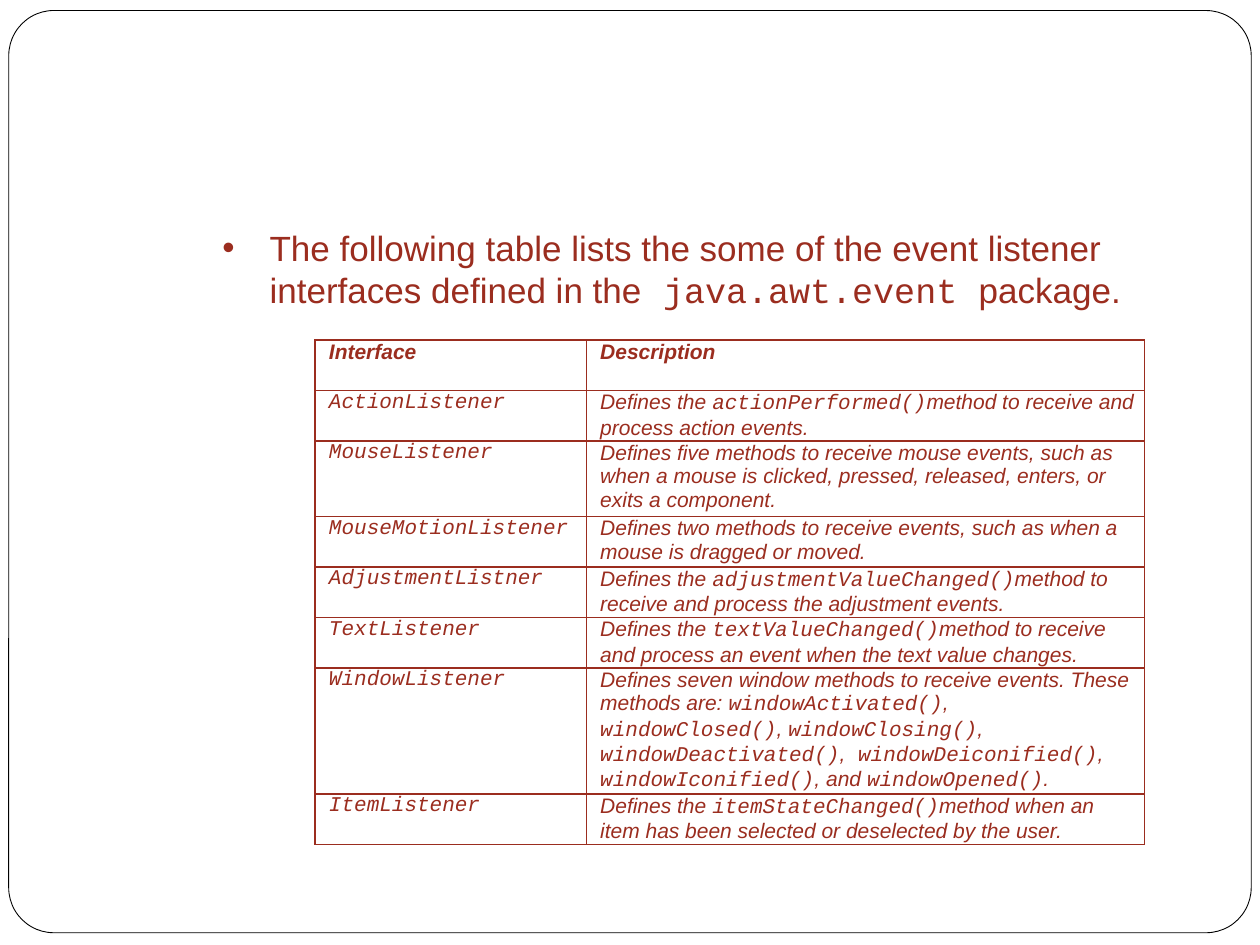
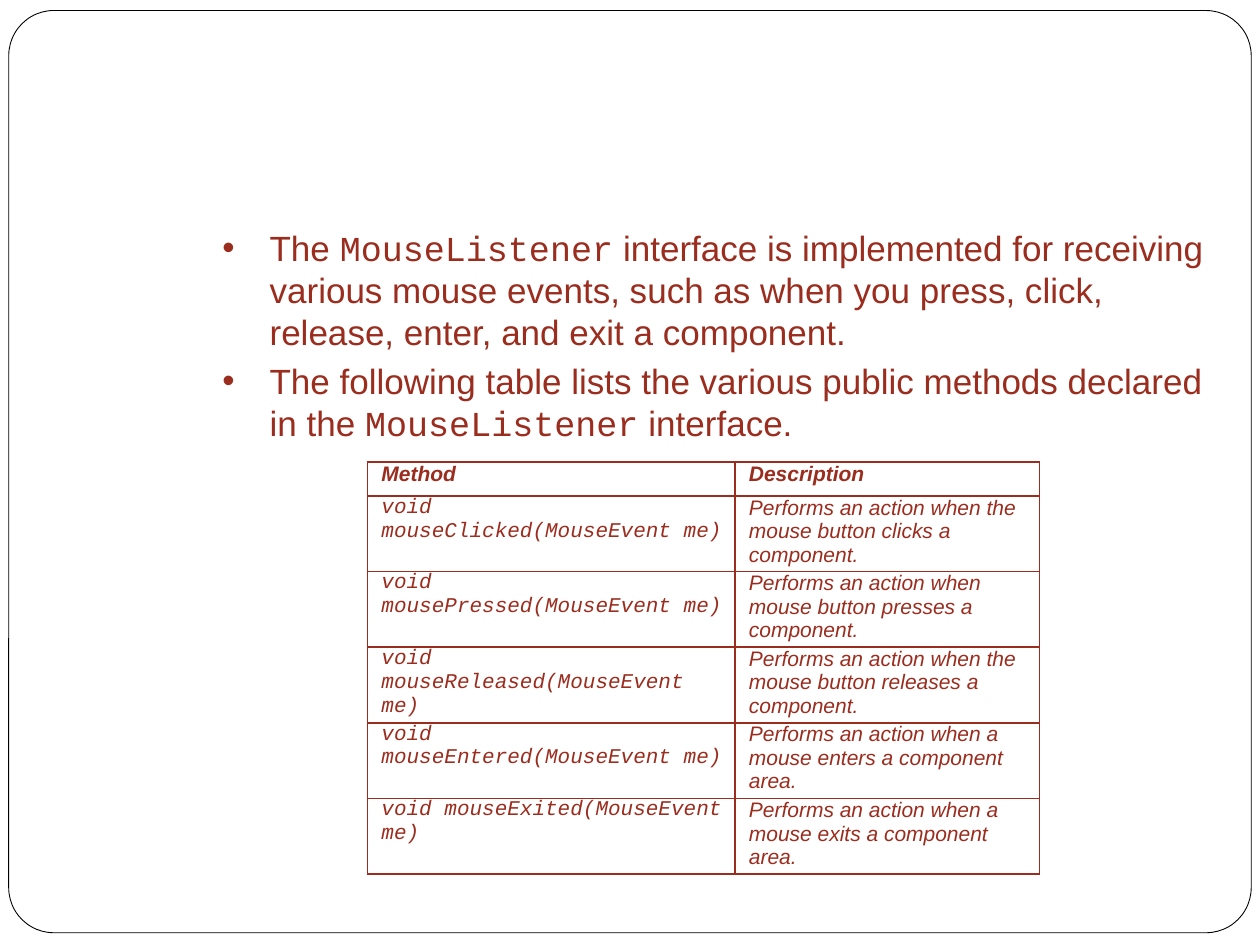
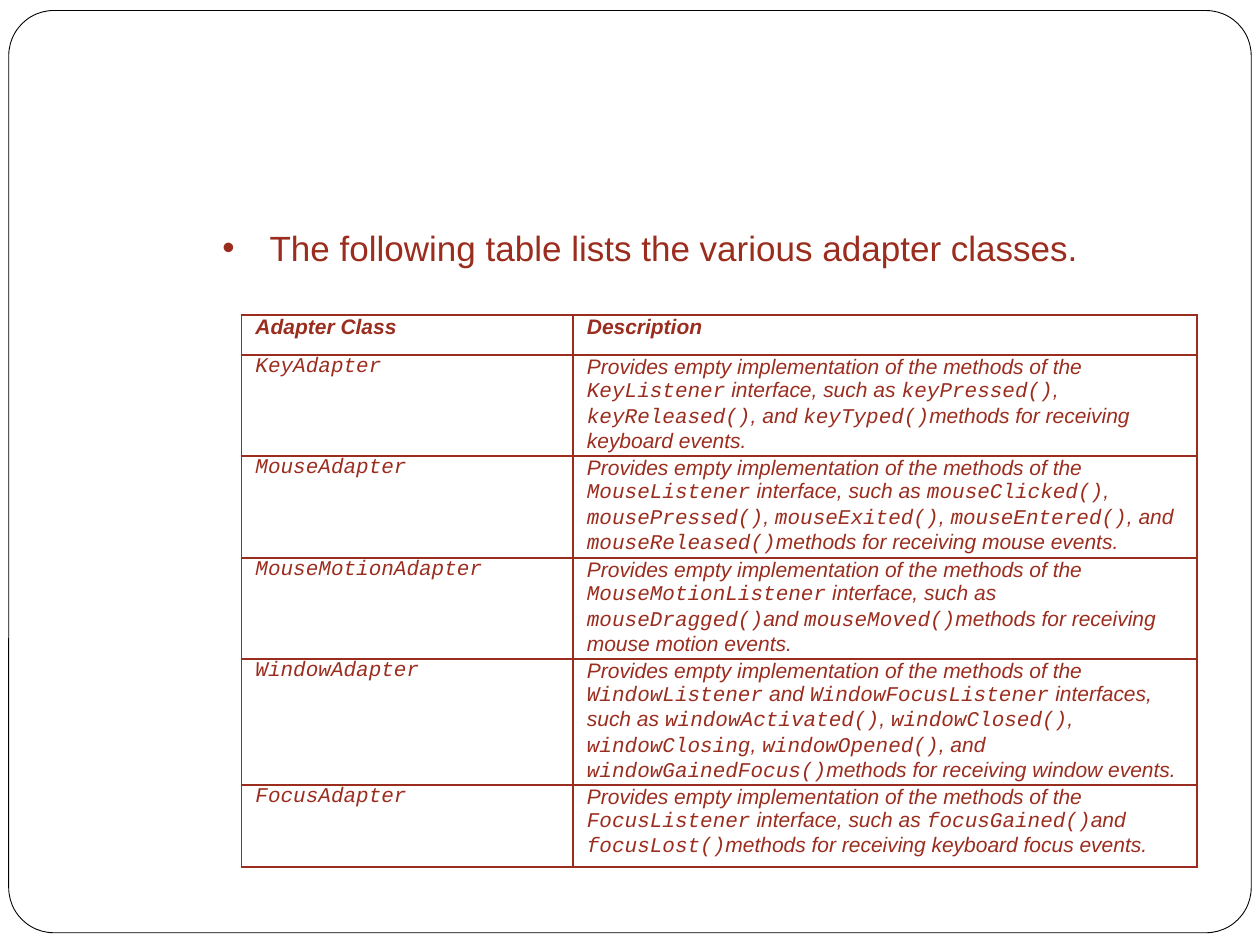
"""Build three slides listing event listener interfaces, mouse methods and adapter classes."""
from lxml import etree
from pptx import Presentation
from pptx.dml.color import RGBColor
from pptx.enum import shapes
from pptx.oxml import ns
from pptx.util import Pt

COLORS = {"text": "9B2D1F", "frame": "000000", "paper": "FFFFFF"}
FONT, CODE_FONT = "Arial", "Courier New"
FRAME = (5, 6, 710, 527)
BODY = (120, 126, 576, 360)
EMPTY = "Provides empty implementation of the methods of the "

# Text between backticks is set in the code font.
SLIDES = [
    {
        "bullets": [
            "The following table lists the some of the event listener interfaces "
            "defined in the` java.awt.event `package.",
        ],
        "position": (180, 194.4),
        "widths": (155, 319),
        "heights": (28.8, 28.8, 43.2, 28.8, 28.8, 28.8, 72, 28.8),
        "rows": [
            ("Interface", "Description"),
            ("`ActionListener`",
             "Defines the `actionPerformed()`method to receive and process action events."),
            ("`MouseListener`",
             "Defines five methods to receive mouse events, such as when a mouse is "
             "clicked, pressed, released, enters, or exits a component."),
            ("`MouseMotionListener`",
             "Defines two methods to receive events, such as when a mouse is dragged or moved."),
            ("`AdjustmentListner`",
             "Defines the `adjustmentValueChanged()`method to receive and process "
             "the adjustment events."),
            ("`TextListener`",
             "Defines the `textValueChanged()`method to receive and process an event "
             "when the text value changes."),
            ("`WindowListener`",
             "Defines seven window methods to receive events. These methods are: "
             "`windowActivated()`, `windowClosed()`, `windowClosing()`,` windowDeactivated()`,"
             "` windowDeiconified()`, `windowIconified()`, and `windowOpened()`."),
            ("`ItemListener`",
             "Defines the `itemStateChanged()`method when an item has been selected "
             "or deselected by the user."),
        ],
    },
    {
        "bullets": [
            "The `MouseListener` interface is implemented for receiving various mouse "
            "events, such as when you press, click, release, enter, and exit a component.",
            "The following table lists the various public methods declared in the "
            "`MouseListener` interface.",
        ],
        "position": (210, 264),
        "widths": (210, 174),
        "heights": (19.4, 43.2, 43.2, 43.2, 43.2, 43.2),
        "rows": [
            ("Method", "Description"),
            ("`void mouseClicked(MouseEvent me)`",
             "Performs an action when the mouse button clicks a component."),
            ("`void mousePressed(MouseEvent me)`",
             "Performs an action when mouse button presses a component."),
            ("`void mouseReleased(MouseEvent me)`",
             "Performs an action when the mouse button releases a component."),
            ("`void mouseEntered(MouseEvent me)`",
             "Performs an action when a mouse enters a component area."),
            ("`void mouseExited(MouseEvent me)`",
             "Performs an action when a mouse exits a component area."),
        ],
    },
    {
        "bullets": ["The following table lists the various adapter classes."],
        "position": (138, 180),
        "widths": (189.4, 356.6),
        "heights": (23, 57.6, 58.3, 57.6, 72, 46.8),
        "rows": [
            ("Adapter Class", "Description"),
            ("`KeyAdapter`",
             EMPTY + "`KeyListener` interface, such as `keyPressed()`, `keyReleased()`, "
             "and `keyTyped()`methods for receiving keyboard events."),
            ("`MouseAdapter`",
             EMPTY + "`MouseListener` interface, such as `mouseClicked()`, `mousePressed()`, "
             "`mouseExited()`, `mouseEntered()`, and `mouseReleased()`methods for "
             "receiving mouse events."),
            ("`MouseMotionAdapter`",
             EMPTY + "`MouseMotionListener` interface, such as `mouseDragged()`and "
             "`mouseMoved()`methods for receiving mouse motion events."),
            ("`WindowAdapter`",
             EMPTY + "`WindowListener` and `WindowFocusListener` interfaces, such as "
             "`windowActivated()`, `windowClosed()`,` windowClosing`, `windowOpened()`, and"
             "` windowGainedFocus()`methods for receiving window events."),
            ("`FocusAdapter`",
             EMPTY + "`FocusListener` interface, such as `focusGained()`and "
             "`focusLost()`methods for receiving keyboard focus events."),
        ],
    },
]


def color(name):
    return RGBColor.from_string(COLORS[name])


def add_element(parent, tag, **attributes):
    return etree.SubElement(parent, ns.qn(tag), attributes)


def write(paragraph, text, size, bold=False, italic=False, before=0, after=0,
          margin=0, indent=0, bullet=None):
    paragraph.space_before, paragraph.space_after = Pt(before), Pt(after)
    properties = paragraph._p.get_or_add_pPr()
    properties.set("marL", str(Pt(margin)))
    properties.set("indent", str(Pt(indent)))
    if bullet:
        add_element(properties, "a:buFont", typeface=FONT)
        add_element(properties, "a:buChar", char=bullet)
    for index, part in enumerate(text.split("`")):
        if part:
            run = paragraph.add_run()
            run.text = part
            run.font.name = CODE_FONT if index % 2 else FONT
            run.font.size = Pt(size)
            run.font.bold, run.font.italic = bold, italic
            run.font.color.rgb = color("text")


def add_frame(slide, layout):
    frame = slide.shapes.add_shape(shapes.MSO_SHAPE.ROUNDED_RECTANGLE, *map(Pt, FRAME))
    frame.adjustments[0] = 0.049
    frame.shadow.inherit = False
    frame.fill.solid()
    frame.fill.fore_color.rgb = color("paper")
    frame.line.color.rgb = color("frame")
    frame.line.width = Pt(0.5)
    layout.shapes.element.append(frame.element)


def add_bullets(slide, bullets):
    text_frame = slide.shapes.add_textbox(*map(Pt, BODY)).text_frame
    text_frame.word_wrap = True
    for index, bullet in enumerate(bullets):
        paragraph = text_frame.add_paragraph() if index else text_frame.paragraphs[0]
        write(paragraph, bullet, 20, before=4, margin=27, indent=-27, bullet="•")


def format_cell(cell, text, header):
    cell.margin_left = cell.margin_right = Pt(5)
    cell.margin_top = cell.margin_bottom = Pt(0)
    write(cell.text_frame.paragraphs[0], text, 12, bold=header, italic=True,
          before=6, after=7, margin=3)
    properties = cell._tc.get_or_add_tcPr()
    for side in ("a:lnL", "a:lnR", "a:lnT", "a:lnB"):
        line = add_element(properties, side, w=str(Pt(1)))
        add_element(add_element(line, "a:solidFill"), "a:srgbClr", val=COLORS["text"])
    cell.fill.background()


def add_table(slide, position, widths, heights, rows):
    size = sum(widths), sum(heights)
    table = slide.shapes.add_table(len(rows), len(widths), *map(Pt, position + size)).table
    table.first_row = table.horz_banding = False
    for column, width in zip(table.columns, widths):
        column.width = Pt(width)
    for index, (row, height, texts) in enumerate(zip(table.rows, heights, rows)):
        row.height = Pt(height)
        for cell, text in zip(row.cells, texts):
            format_cell(cell, text, header=index == 0)


def main():
    presentation = Presentation()
    presentation.slide_width, presentation.slide_height = Pt(720), Pt(540)
    layout = presentation.slide_layouts.get_by_name("Blank")
    for index, content in enumerate(SLIDES):
        slide = presentation.slides.add_slide(layout)
        if index == 0:
            add_frame(slide, layout)
        add_bullets(slide, content["bullets"])
        add_table(slide, content["position"], content["widths"],
                  content["heights"], content["rows"])
    presentation.save("out.pptx")


if __name__ == "__main__":
    main()
